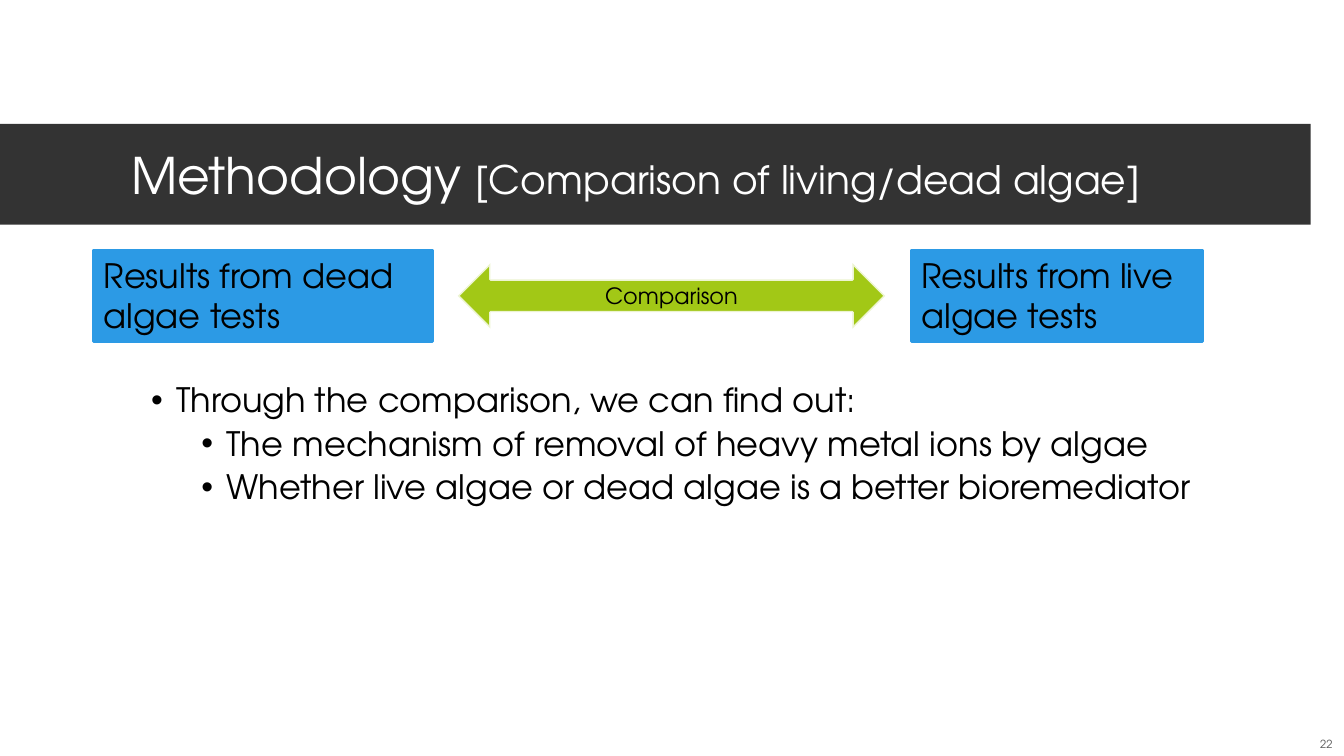
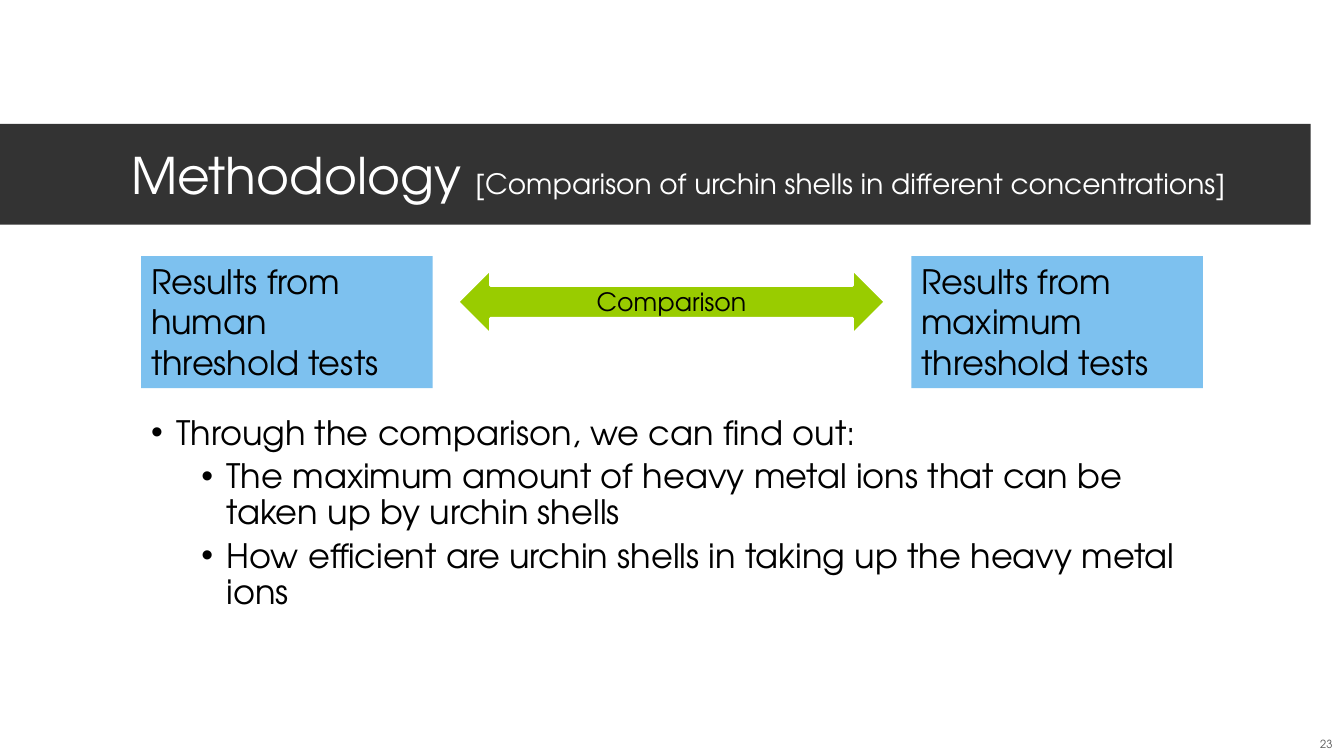
"""Build two slides that set test results side by side."""
import dataclasses

import pptx
import pptx.dml.color
import pptx.enum.shapes
import pptx.enum.text
import pptx.oxml.ns
import pptx.util
from lxml import etree


@dataclasses.dataclass(frozen=True)
class Theme:
    font: str = "TeX Gyre Adventor"
    white: str = "FFFFFF"
    black: str = "000000"
    band: str = "333333"
    grey: str = "595959"
    blue: str = "2C9AE5"
    sky: str = "7DC1EF"
    green: str = "A2C816"
    lime: str = "99CC00"
    title: int = 36
    wide: int = 28
    small: int = 20
    body: int = 24
    label: int = 18
    tag: int = 16
    foot: int = 8


look = Theme()
PX = 9144
kind = pptx.enum.shapes.MSO_SHAPE
align = pptx.enum.text.PP_ALIGN
middle = pptx.enum.text.MSO_ANCHOR.MIDDLE
top = pptx.enum.text.MSO_ANCHOR.TOP
qn = pptx.oxml.ns.qn
rgb = pptx.dml.color.RGBColor.from_string


def draw(slide, form, area, fill, edge=None, anchor=middle):
    place = [n * PX for n in area]
    if form is None:
        shape = slide.shapes.add_textbox(*place)
    else:
        shape = slide.shapes.add_shape(form, *place)
        shape.shadow.inherit = False
        shape.fill.solid()
        shape.fill.fore_color.rgb = rgb(fill)
        if edge:
            shape.line.color.rgb = rgb(edge)
            shape.line.width = pptx.util.Pt(2)
        else:
            shape.line.fill.background()
    shape.text_frame.word_wrap = True
    shape.text_frame.vertical_anchor = anchor
    return shape


def write(para, runs, ink=look.black, side=align.LEFT):
    para.alignment = side
    for text, size in runs:
        run = para.add_run()
        run.text = text
        run.font.name = look.font
        run.font.size = pptx.util.Pt(size)
        run.font.color.rgb = rgb(ink)


pages = [
    dict(
        page="22", topic="[Comparison of living/dead algae]", size=look.wide,
        boxes=[(93, 336, "Results from dead algae tests"),
               (904, 289, "Results from live algae tests")],
        top=248, high=91, fill=look.blue, edge=look.blue,
        arrow=look.green, label=look.tag, alpha=80, list=376,
        points=["The mechanism of removal of heavy metal ions by algae",
                "Whether live algae or dead algae is a better bioremediator"],
    ),
    dict(
        page="23", topic="[Comparison of urchin shells in different concentrations]",
        size=look.small,
        boxes=[(140, 289, "Results from human threshold tests"),
               (904, 289, "Results from maximum threshold tests")],
        top=254, high=131, fill=look.sky, edge=None,
        arrow=look.lime, label=look.label, alpha=100, list=408,
        points=["The maximum amount of heavy metal ions that can be taken up by urchin shells",
                "How efficient are urchin shells in taking up the heavy metal ions"],
    ),
]

deck = pptx.Presentation()
deck.slide_width = 1333 * PX
deck.slide_height = 750 * PX

for page in pages:
    slide = deck.slides.add_slide(deck.slide_layouts[6])

    band = draw(slide, kind.RECTANGLE, (0, 123, 1300, 100), look.band)
    band.text_frame.margin_left = 130 * PX
    band.text_frame.margin_right = 30 * PX
    write(band.text_frame.paragraphs[0],
          [("Methodology ", look.title), (page["topic"], page["size"])], look.white)

    foot = draw(slide, None, (1298, 728, 35, 20), None)
    frame = foot.text_frame
    frame.margin_left = frame.margin_right = frame.margin_top = frame.margin_bottom = 0
    write(frame.paragraphs[0], [(page["page"], look.foot)], look.grey, align.CENTER)

    for left, width, text in page["boxes"]:
        box = draw(slide, kind.RECTANGLE, (left, page["top"], width, page["high"]),
                   page["fill"], page["edge"], top)
        box.text_frame.auto_size = pptx.enum.text.MSO_AUTO_SIZE.SHAPE_TO_FIT_TEXT
        write(box.text_frame.paragraphs[0], [(text, look.body)])

    arrow = draw(slide, kind.LEFT_RIGHT_ARROW, (454, page["top"] + 13, 424, 65),
                 page["arrow"], look.white)
    if page["alpha"] < 100:
        tint = arrow.line._ln.find(".//" + qn("a:srgbClr"))
        etree.SubElement(tint, qn("a:alpha"), val=str(page["alpha"] * 1000))
    write(arrow.text_frame.paragraphs[0], [("Comparison", page["label"])],
          side=align.CENTER)

    frame = draw(slide, None, (140, page["list"], 1053, 297), None, anchor=top).text_frame
    lines = ["Through the comparison, we can find out:"] + page["points"]
    for rank, text in enumerate(lines):
        para = frame.add_paragraph() if rank else frame.paragraphs[0]
        props = para._p.get_or_add_pPr()
        props.set("marL", str((75 if rank else 25) * PX))
        props.set("indent", str(-25 * PX))
        etree.SubElement(props, qn("a:buFont"), typeface="Arial")
        etree.SubElement(props, qn("a:buChar"), char="•")
        para.line_spacing = 0.9
        if rank:
            para.level = 1
            para.space_before = pptx.util.Pt(5)
        write(para, [(text, look.body)])

deck.save("out.pptx")
